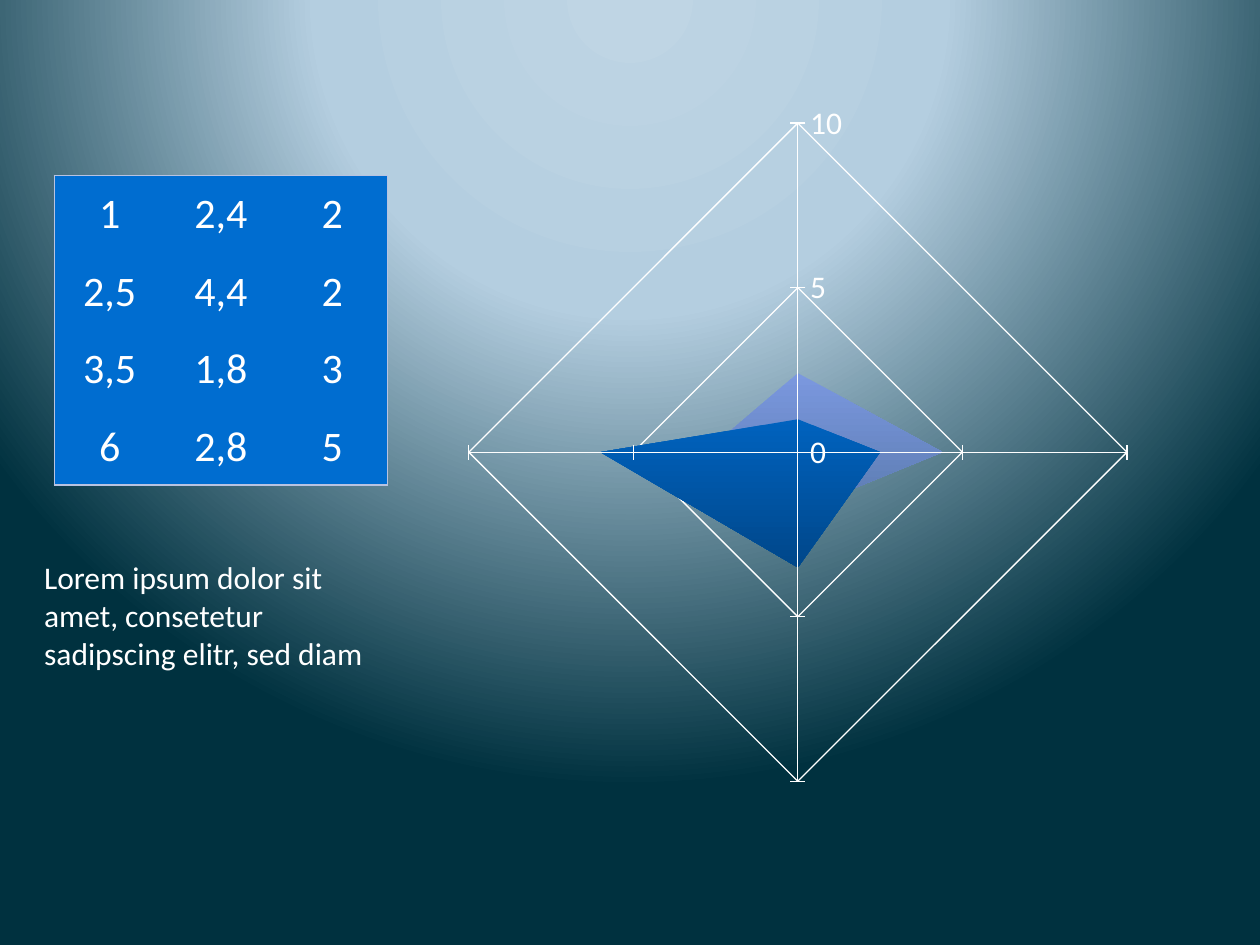
"""Build a slide with a small value table, a caption and a filled radar chart."""
from dataclasses import dataclass

from pptx import Presentation
from pptx.chart.data import CategoryChartData
from pptx.dml.color import RGBColor as RGB
from pptx.enum.chart import XL_CHART_TYPE as ChartType, XL_TICK_MARK as Tick
from pptx.enum.text import MSO_ANCHOR as Anchor, MSO_AUTO_SIZE as AutoSize, PP_ALIGN as Align
from pptx.oxml import parse_xml
from pptx.oxml.ns import nsdecls
from pptx.slide import Slide
from pptx.text.text import TextFrame
from pptx.util import Cm, Pt


@dataclass(frozen=True)
class Theme:
    font: str = "Calibri"
    body: int = 18
    figures: int = 24
    text: str = "FFFFFF"
    cell: str = "006DD0"
    border: str = "B8C3E1"
    border_width: float = 0.75
    backdrop: tuple = ((0, "BFD5E4"), (40, "B4CEE0"), (100, "00313F"))


@dataclass(frozen=True)
class Box:
    left: float
    top: float
    width: float
    height: float

    def cm(self) -> tuple:
        return Cm(self.left), Cm(self.top), Cm(self.width), Cm(self.height)


@dataclass(frozen=True)
class Series:
    name: str
    column: int
    top_color: str
    bottom_color: str


THEME = Theme()
ROWS = (("1", "2,4", "2"), ("2,5", "4,4", "2"), ("3,5", "1,8", "3"), ("6", "2,8", "5"))
SERIES = (
    Series("Series 1", 0, "0062BE", "00478A"),
    Series("Series 2", 1, "7B98DF", "5B7BB0"),
)


def set_text(tf: TextFrame, text: str, *, size: int = THEME.body,
             color: str = THEME.text, align: Align = Align.LEFT) -> None:
    p = tf.paragraphs[0]
    p.alignment = align
    r = p.add_run()
    r.text = text
    r.font.name, r.font.size = THEME.font, Pt(size)
    r.font.color.rgb = RGB.from_string(color)


def set_backdrop(s: Slide) -> None:
    stops = "".join(
        f'<a:gs pos="{pos * 1000}"><a:srgbClr val="{color}"/></a:gs>'
        for pos, color in THEME.backdrop
    )
    s.element.cSld.insert(0, parse_xml(
        f'<p:bg {nsdecls("p", "a")}><p:bgPr><a:gradFill rotWithShape="1">'
        f'<a:gsLst>{stops}</a:gsLst><a:path path="circle">'
        '<a:fillToRect l="50000" t="-80000" r="50000" b="180000"/></a:path>'
        '</a:gradFill><a:effectLst/></p:bgPr></p:bg>'
    ))


def add_radar(s: Slide, box: Box) -> None:
    data = CategoryChartData()
    data.categories = [str(n + 1) for n in range(len(ROWS))]
    for series in SERIES:
        data.add_series(series.name, [float(row[series.column].replace(",", ".")) for row in ROWS])
    chart = s.shapes.add_chart(ChartType.RADAR_FILLED, *box.cm(), data).chart
    chart.has_legend = chart.has_title = False
    white = RGB.from_string(THEME.text)
    chart.font.name, chart.font.size = THEME.font, Pt(THEME.body)
    chart.font.color.rgb = white
    chart.plots[0].vary_by_categories = False

    for series, look in zip(chart.plots[0].series, SERIES):
        fill = series.format.fill
        fill.gradient()
        fill.gradient_angle = 270
        for stop, color in zip(fill.gradient_stops, (look.top_color, look.bottom_color)):
            stop.color.rgb = RGB.from_string(color)
        series.format.line.fill.background()

    chart.category_axis.visible = False
    axis = chart.value_axis
    axis.minimum_scale, axis.maximum_scale, axis.major_unit = 0, 10, 5
    axis.major_tick_mark, axis.minor_tick_mark = Tick.OUTSIDE, Tick.NONE
    for lines in (axis, axis.major_gridlines, chart.category_axis.major_gridlines):
        lines.format.line.color.rgb = white
        lines.format.line.width = Pt(0.75)
    axis.tick_labels.number_format = "General"
    axis.tick_labels.number_format_is_linked = False

    area = chart.element.chart.plotArea
    for old in area.xpath("c:layout"):
        area.remove(old)
    place = "".join(
        f'<c:{tag} val="{value}"/>' for tag, value in (
            ("layoutTarget", "inner"), ("xMode", "edge"), ("yMode", "edge"),
            ("x", 0.077), ("y", 0.019), ("w", 0.896), ("h", 0.943))
    )
    area.insert(0, parse_xml(
        f'<c:layout {nsdecls("c")}><c:manualLayout>{place}</c:manualLayout></c:layout>'
    ))


def add_values(s: Slide, box: Box) -> None:
    last_row, last_col = len(ROWS) - 1, len(ROWS[0]) - 1
    table = s.shapes.add_table(len(ROWS), len(ROWS[0]), *box.cm()).table
    table.first_row = table.horz_banding = False
    for i, row in enumerate(ROWS):
        for j, value in enumerate(row):
            cell = table.cell(i, j)
            cell.margin_left = cell.margin_right = cell.margin_top = Cm(0.03)
            cell.margin_bottom = 0
            cell.vertical_anchor = Anchor.MIDDLE
            set_text(cell.text_frame, value, size=THEME.figures, align=Align.CENTER)
            edges = {"L": j == 0, "R": j == last_col, "T": i == 0, "B": i == last_row}
            props = cell._tc.get_or_add_tcPr()
            for side, outer in edges.items():
                paint = (f'<a:solidFill><a:srgbClr val="{THEME.border}"/></a:solidFill>'
                         if outer else "<a:noFill/>")
                props.append(parse_xml(
                    f'<a:ln{side} {nsdecls("a")} w="{Pt(THEME.border_width)}">{paint}</a:ln{side}>'
                ))
            cell.fill.solid()
            cell.fill.fore_color.rgb = RGB.from_string(THEME.cell)


def add_caption(s: Slide, box: Box, text: str) -> None:
    tf = s.shapes.add_textbox(*box.cm()).text_frame
    tf.word_wrap = True
    tf.auto_size = AutoSize.SHAPE_TO_FIT_TEXT
    set_text(tf, text)


def main() -> None:
    prs = Presentation()
    prs.slide_width, prs.slide_height = Cm(25.4), Cm(19.05)
    s = prs.slides.add_slide(prs.slide_layouts[6])
    set_backdrop(s)
    add_radar(s, Box(8.31, 1.22, 14.81, 16.1))
    add_values(s, Box(1.09, 3.53, 6.73, 6.25))
    add_caption(s, Box(0.64, 11.13, 7.47, 2.57),
                "Lorem ipsum dolor sit amet, consetetur sadipscing elitr, sed diam")
    prs.save("out.pptx")


if __name__ == "__main__":
    main()
